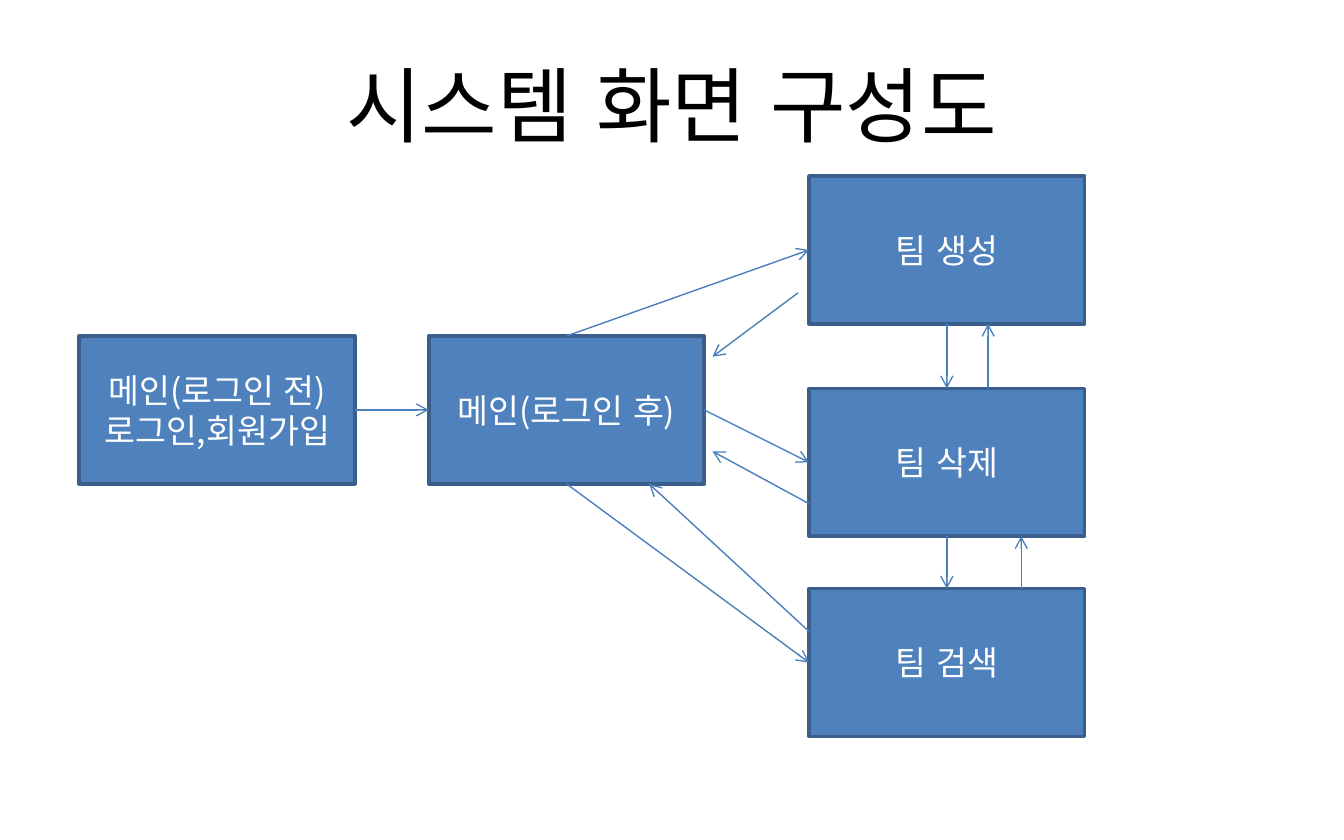
from lxml.etree import SubElement
from pptx import Presentation
from pptx.dml.color import RGBColor
from pptx.enum.lang import MSO_LANGUAGE_ID as Lang
from pptx.enum.shapes import MSO_CONNECTOR as Conn, MSO_SHAPE as Shape
from pptx.enum.text import MSO_ANCHOR as Anchor, PP_ALIGN as Align
from pptx.oxml.ns import qn
from pptx.util import Inches, Pt

FONT = "Noto Sans CJK KR"
BOX_W, BOX_H = 2.05, 1.1
COLS = {"start": 0.59, "main": 3.19, "team": 6.02}
ROWS = {"top": 1.31, "mid": 2.5, "low": 2.89, "end": 4.38}

BOXES = {
    "login": ("start", "mid", "메인(로그인 전)\n로그인,회원가입"),
    "home": ("main", "mid", "메인(로그인 후)"),
    "make": ("team", "top", "팀 생성"),
    "drop": ("team", "low", "팀 삭제"),
    "find": ("team", "end", "팀 검색"),
}

LINKS = [
    ("login", 1, 0.5, "home", 0, 0.5),
    ("home", 0.5, 0, "make", 0, 0.5),
    ("home", 1, 0.5, "drop", 0, 0.5),
    ("home", 0.5, 1, "find", 0, 0.5),
    ("make", 0.5, 1, "drop", 0.5, 0),
    ("drop", 0.5, 1, "find", 0.5, 0),
    ("drop", 0.65, 0, "make", 0.65, 1),
    ("find", 0.77, 0, "drop", 0.77, 1),
    ("drop", 0, 0.78, "home", 1.03, 0.78),
    ("make", -0.04, 0.79, "home", 1.03, 0.14),
    ("find", 0, 0.29, "home", 0.8, 1),
]


def tint(code):
    """Turn a hex string into a colour."""
    return RGBColor.from_string(code)


def write(shape, text, size=18, color="FFFFFF", align=Align.CENTER):
    """Fill a shape with formatted lines of text."""
    frame = shape.text_frame
    frame.word_wrap = True
    frame.vertical_anchor = Anchor.MIDDLE
    frame.text = text
    for para in frame.paragraphs:
        para.alignment = align
        for run in para.runs:
            font = run.font
            font.name, font.size = FONT, Pt(size)
            font.language_id = Lang.KOREAN
            font.color.rgb = tint(color)
            SubElement(font._element, qn("a:ea")).set("typeface", FONT)


def title(slide, text):
    """Add the centred heading."""
    spot = [Inches(n) for n in (0.5, 0.25, 9, 1.04)]
    write(slide.shapes.add_textbox(*spot), text, size=44, color="000000")


def box(slide, col, row, text):
    """Add one screen box at a column and row."""
    spot = [Inches(n) for n in (COLS[col], ROWS[row], BOX_W, BOX_H)]
    shape = slide.shapes.add_shape(Shape.RECTANGLE, *spot)
    shape.shadow.inherit = False
    shape.fill.solid()
    shape.fill.fore_color.rgb = tint("4F81BD")
    shape.line.color.rgb = tint("3A5F8C")
    shape.line.width = Pt(2)
    write(shape, text)


def point(name, across, down):
    """Find a point by its shares of a box's size."""
    col, row, _ = BOXES[name]
    return Inches(COLS[col] + across * BOX_W), Inches(ROWS[row] + down * BOX_H)


def arrow(slide, start, stop):
    """Add a thin arrow between two points."""
    link = slide.shapes.add_connector(Conn.STRAIGHT, *start, *stop)
    link.line.color.rgb = tint("4B7EBC")
    link.line.width = Pt(0.75)
    SubElement(link.line._get_or_add_ln(), qn("a:tailEnd")).set("type", "arrow")
    SubElement(link._element.spPr, qn("a:effectLst"))


def main():
    """Build and save the screen map."""
    deck = Presentation()
    deck.slide_width, deck.slide_height = Inches(10), Inches(6.25)
    slide = deck.slides.add_slide(deck.slide_layouts[6])
    title(slide, "시스템 화면 구성도")
    for item in BOXES.values():
        box(slide, *item)
    for link in LINKS:
        arrow(slide, point(*link[:3]), point(*link[3:]))
    deck.save("out.pptx")


if __name__ == "__main__":
    main()
